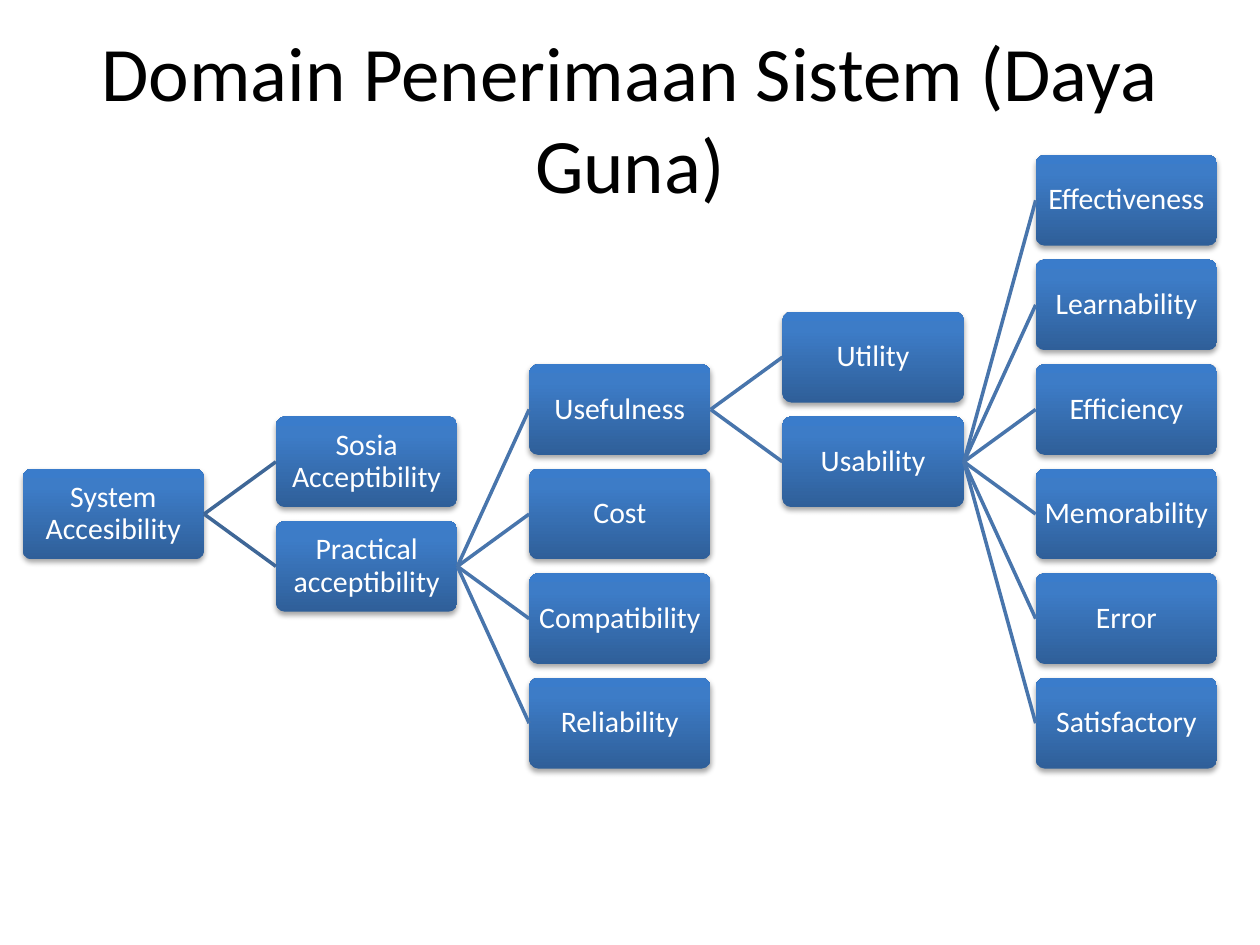
"""Build a slide with the tree of system acceptance domains."""
import copy

import lxml.etree
import pptx
import pptx.dml.color
import pptx.enum.shapes
import pptx.enum.text
import pptx.oxml.ns
import pptx.util

Inches = pptx.util.Inches
Pt = pptx.util.Pt
RGBColor = pptx.dml.color.RGBColor
qn = pptx.oxml.ns.qn

TITLE = "Domain Penerimaan Sistem (Daya Guna)"
TREE = ("System Accesibility", [
    ("Sosia Acceptibility", []),
    ("Practical acceptibility", [
        ("Usefulness", [
            ("Utility", []),
            ("Usability", [
                ("Effectiveness", []),
                ("Learnability", []),
                ("Efficiency", []),
                ("Memorability", []),
                ("Error", []),
                ("Satisfactory", []),
            ]),
        ]),
        ("Cost", []),
        ("Compatibility", []),
        ("Reliability", []),
    ]),
])

THEME = {
    "font": "Calibri",
    "title_size": 44,
    "node_size": 17,
    "title_color": "000000",
    "node_color": "FFFFFF",
    "gradient": [(0, "2F5F99"), (0.8, "3D7CC7"), (1, "3A7CCB")],
    "root_branch": "3F6797",
    "branch": "4875AC",
    "branch_width": 2,
    "shadow": "000000",
}
ROOT_LEFT, ROOT_TOP = 0.18, 3.72
NODE_WIDTH, NODE_HEIGHT = 1.44, 0.72
COLUMN_PITCH, ROW_PITCH = 2.01, 0.83
NODE_INSET = 0.03


def write(frame, text, size, color):
    frame.word_wrap = True
    frame.vertical_anchor = pptx.enum.text.MSO_ANCHOR.MIDDLE
    paragraph = frame.paragraphs[0]
    paragraph.alignment = pptx.enum.text.PP_ALIGN.CENTER
    run = paragraph.add_run()
    run.text = text
    run.font.name = THEME["font"]
    run.font.size = Pt(size)
    run.font.color.rgb = RGBColor.from_string(color)
    return paragraph


def fill_gradient(node):
    node.fill.gradient()
    node.fill.gradient_angle = 90
    stop_list = node._element.spPr.find(".//" + qn("a:gsLst"))
    stop_list.append(copy.deepcopy(stop_list[-1]))
    for stop, (position, color) in zip(node.fill.gradient_stops, THEME["gradient"]):
        stop.position = position
        stop.color.rgb = RGBColor.from_string(color)


def add_shadow(node):
    node.shadow.inherit = False
    effects = node._element.spPr.find(qn("a:effectLst"))
    shadow = lxml.etree.SubElement(
        effects, qn("a:outerShdw"), blurRad=str(Pt(3.1)), dist=str(Pt(1.8)),
        dir="5400000", rotWithShape="0")
    color = lxml.etree.SubElement(shadow, qn("a:srgbClr"), val=THEME["shadow"])
    lxml.etree.SubElement(color, qn("a:alpha"), val="35000")


def add_node(slide, label, depth, top):
    node = slide.shapes.add_shape(
        pptx.enum.shapes.MSO_SHAPE.ROUNDED_RECTANGLE,
        Inches(ROOT_LEFT + depth * COLUMN_PITCH), Inches(top),
        Inches(NODE_WIDTH), Inches(NODE_HEIGHT))
    node.adjustments[0] = 0.1
    fill_gradient(node)
    node.line.fill.background()
    add_shadow(node)
    frame = node.text_frame
    frame.margin_left = frame.margin_right = Inches(NODE_INSET)
    frame.margin_top = frame.margin_bottom = Inches(NODE_INSET)
    paragraph = write(frame, label, THEME["node_size"], THEME["node_color"])
    paragraph.line_spacing = 0.9
    return node


def add_branch(slide, parent, child, color):
    branch = slide.shapes.add_connector(
        pptx.enum.shapes.MSO_CONNECTOR.STRAIGHT, 0, 0, 0, 0)
    branch.begin_connect(parent, 3)
    branch.end_connect(child, 1)
    branch.line.color.rgb = RGBColor.from_string(color)
    branch.line.width = Pt(THEME["branch_width"])
    lxml.etree.SubElement(branch._element.spPr, qn("a:effectLst"))


def add_tree(slide, tree, depth, top):
    label, children = tree
    parent = add_node(slide, label, depth, top)
    first_top = top - (len(children) - 1) * ROW_PITCH / 2
    color = THEME["branch"] if depth else THEME["root_branch"]
    for row, subtree in enumerate(children):
        child = add_tree(slide, subtree, depth + 1, first_top + row * ROW_PITCH)
        add_branch(slide, parent, child, color)
    return parent


def main():
    deck = pptx.Presentation()
    deck.slide_width, deck.slide_height = Inches(10), Inches(7.5)
    slide = deck.slides.add_slide(deck.slide_layouts[5])
    title = slide.shapes.title
    title.left, title.top = Inches(0.5), Inches(0.3)
    title.width, title.height = Inches(9), Inches(1.25)
    write(title.text_frame, TITLE, THEME["title_size"], THEME["title_color"])
    add_tree(slide, TREE, 0, ROOT_TOP)
    deck.save("out.pptx")


if __name__ == "__main__":
    main()
